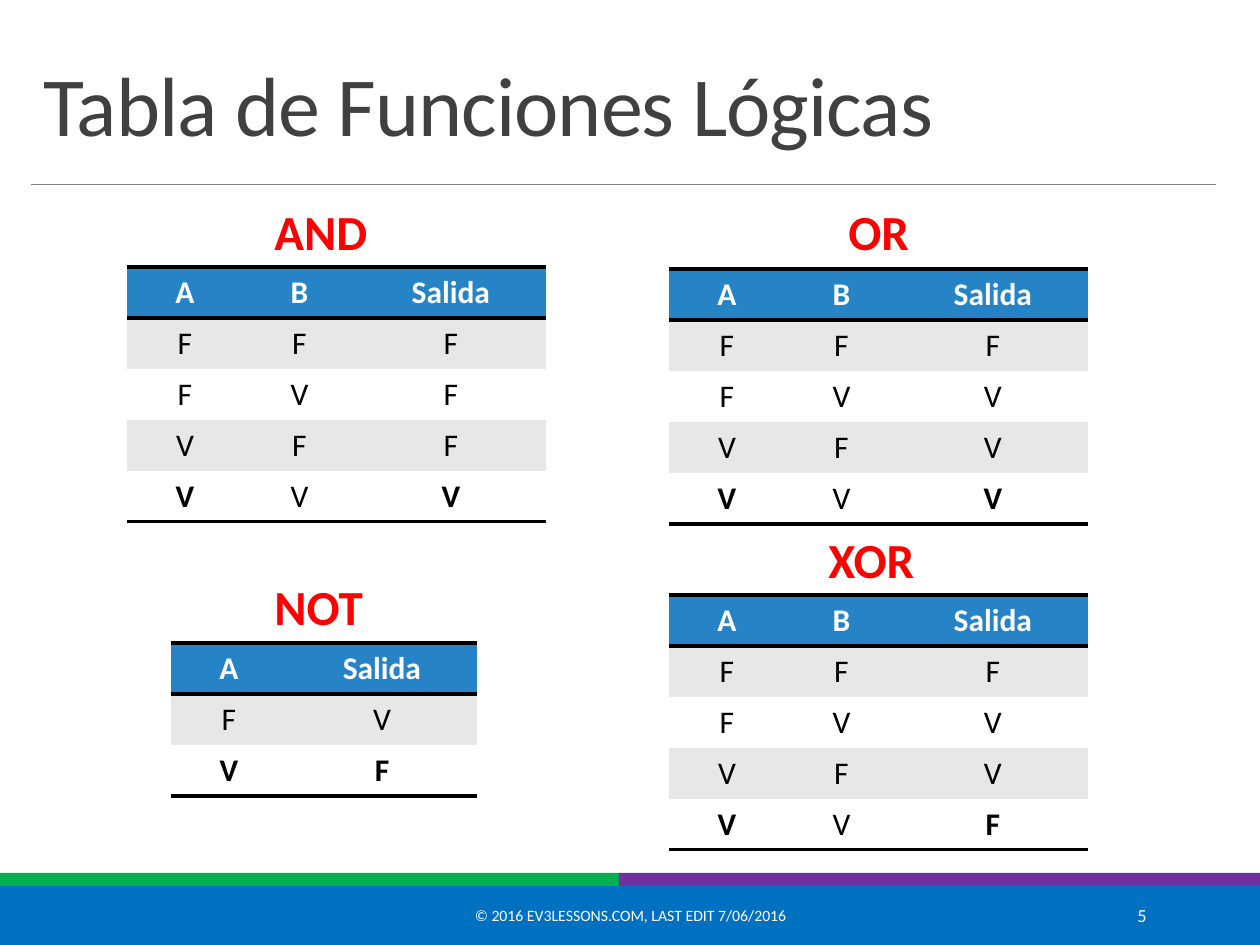
from lxml.etree import SubElement
from pptx import Presentation
from pptx.dml.color import RGBColor
from pptx.enum.shapes import MSO_CONNECTOR, MSO_SHAPE
from pptx.enum.text import MSO_ANCHOR, MSO_AUTO_SIZE, PP_ALIGN
from pptx.oxml import parse_xml
from pptx.oxml.ns import nsdecls, qn
from pptx.util import Emu, Pt

COLORS = {
    "blue": "0070C0",
    "green": "00B050",
    "purple": "7030A0",
    "rule": "808080",
    "title": "404040",
    "header": "2683C6",
    "band": "E7E7E7",
    "white": "FFFFFF",
    "black": "000000",
    "red": "FF0000",
}
FONT = "Calibri"
ROW_HEIGHT = 51
COLUMN_WIDTHS = {"A": 116, "B": 113, "Salida": 190}
INPUTS = ["FF", "FV", "VF", "VV"]


def px(length):
    return Emu(round(length * 914400 / 126))


def color(name):
    return RGBColor.from_string(COLORS[name])


def write(frame, text, size, fill, bold=False, align=PP_ALIGN.LEFT,
          anchor=MSO_ANCHOR.TOP, wrap=True, leading=None, tracking=None):
    frame.word_wrap = wrap
    frame.vertical_anchor = anchor
    para = frame.paragraphs[0]
    para.alignment = align
    para.line_spacing = leading
    span = para.add_run()
    span.text = text
    span.font.name = FONT
    span.font.size = Pt(size)
    span.font.bold = bold
    span.font.color.rgb = color(fill)
    if tracking is not None:
        span.font._element.set("spc", str(tracking))


def add_text(page, box, text, **style):
    frame = page.shapes.add_textbox(*map(px, box)).text_frame
    write(frame, text, **style)
    return frame


def add_bar(page, box, fill):
    bar = page.shapes.add_shape(MSO_SHAPE.RECTANGLE, *map(px, box))
    bar.shadow.inherit = False
    bar.fill.solid()
    bar.fill.fore_color.rgb = color(fill)
    bar.line.fill.background()


def set_borders(cell, top, bottom):
    edges = {"lnL": False, "lnR": False, "lnT": top, "lnB": bottom}
    for place, (tag, visible) in enumerate(edges.items()):
        paint = "<a:noFill/>"
        if visible:
            paint = f'<a:solidFill><a:srgbClr val="{COLORS["black"]}"/></a:solidFill>'
        edge = parse_xml(f'<a:{tag} {nsdecls("a")} w="{Pt(2)}">{paint}</a:{tag}>')
        cell._tc.get_or_add_tcPr().insert(place, edge)


def draw_title(page, box, text):
    left, top, width, height = box
    add_text(page, (left, top, width, height - 24), text, size=48, fill="title",
             anchor=MSO_ANCHOR.BOTTOM, leading=0.85, tracking=-50)
    ends = (left, top + height, left + width, top + height)
    rule = page.shapes.add_connector(MSO_CONNECTOR.STRAIGHT, *map(px, ends))
    rule.line.color.rgb = color("rule")
    rule.line.width = Pt(0.5)
    SubElement(rule._element.spPr, qn("a:effectLst"))


def draw_footer(page, box, credit, number):
    left, top, width, height = box
    split = 619
    add_bar(page, (left, top + 9, width, height - 9), "blue")
    add_bar(page, (left, top, split, 13), "green")
    add_bar(page, (left + split, top, width - split, 13), "purple")
    style = {"fill": "white", "anchor": MSO_ANCHOR.MIDDLE}
    add_text(page, (left + 381, top + 17, 499, 50), credit,
             size=9, align=PP_ALIGN.CENTER, **style)
    add_text(page, (left + 1023, top + 17, 136, 50), number,
             size=10.5, align=PP_ALIGN.RIGHT, **style)


def draw_truth_table(page, box, heads, rows):
    lines = [heads, *rows]
    last = len(lines) - 1
    table = page.shapes.add_table(len(lines), len(heads), *map(px, box)).table
    table.horz_banding = False
    for column, head in zip(table.columns, heads):
        column.width = px(COLUMN_WIDTHS[head])
    for r, line in enumerate(lines):
        table.rows[r].height = px(ROW_HEIGHT)
        for c, text in enumerate(line):
            cell = table.cell(r, c)
            cell.fill.solid()
            shade = "header" if r == 0 else "band" if r % 2 else "white"
            cell.fill.fore_color.rgb = color(shade)
            ruled = (0, 1, last + 1)
            set_borders(cell, top=r in ruled, bottom=r + 1 in ruled)
            strong = r == 0 or (r == last and heads[c] != "B")
            write(cell.text_frame, text, size=18, bold=strong, align=PP_ALIGN.CENTER,
                  fill="white" if r == 0 else "black")


def draw_gate(page, origin, name, label_box, inputs, outputs):
    heads = [*"AB"[:len(inputs[0])], "Salida"]
    rows = [[*given, result] for given, result in zip(inputs, outputs)]
    width = sum(COLUMN_WIDTHS[head] for head in heads)
    height = ROW_HEIGHT * (len(rows) + 1)
    draw_truth_table(page, (*origin, width, height), heads, rows)
    x, y, label_width = label_box
    place = (origin[0] + x, origin[1] + y, label_width, 72)
    label = add_text(page, place, name, size=28, fill="red", bold=True, wrap=False)
    label.auto_size = MSO_AUTO_SIZE.SHAPE_TO_FIT_TEXT


def main():
    deck = Presentation()
    deck.slide_width, deck.slide_height = px(1260), px(945)
    page = deck.slides.add_slide(deck.slide_layouts[6])
    draw_footer(page, (0, 873, 1260, 72), "© 2016 EV3LESSONS.COM, LAST EDIT 7/06/2016", "5")
    draw_title(page, (31, 39, 1185, 145), "Tabla de Funciones Lógicas")
    draw_gate(page, (127, 267, ), "AND", (135, -72, 120), INPUTS, "FFFV")
    draw_gate(page, (669, 269), "OR", (167, -74, 87), INPUTS, "FVVV")
    draw_gate(page, (171, 643), "NOT", (91, -73, 115), "FV", "VF")
    draw_gate(page, (669, 595), "XOR", (147, -72, 112), INPUTS, "FVVF")
    deck.save("out.pptx")


if __name__ == "__main__":
    main()
